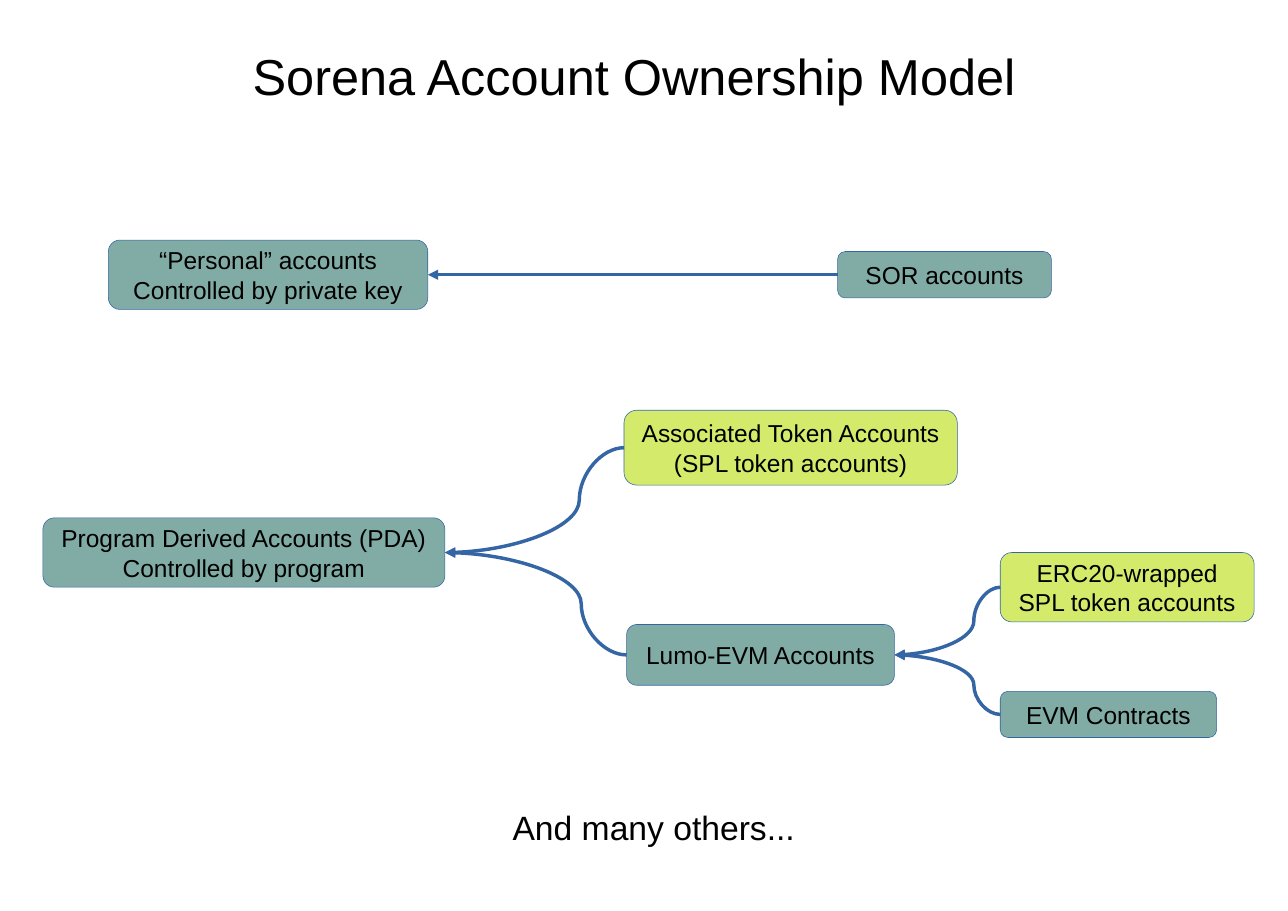
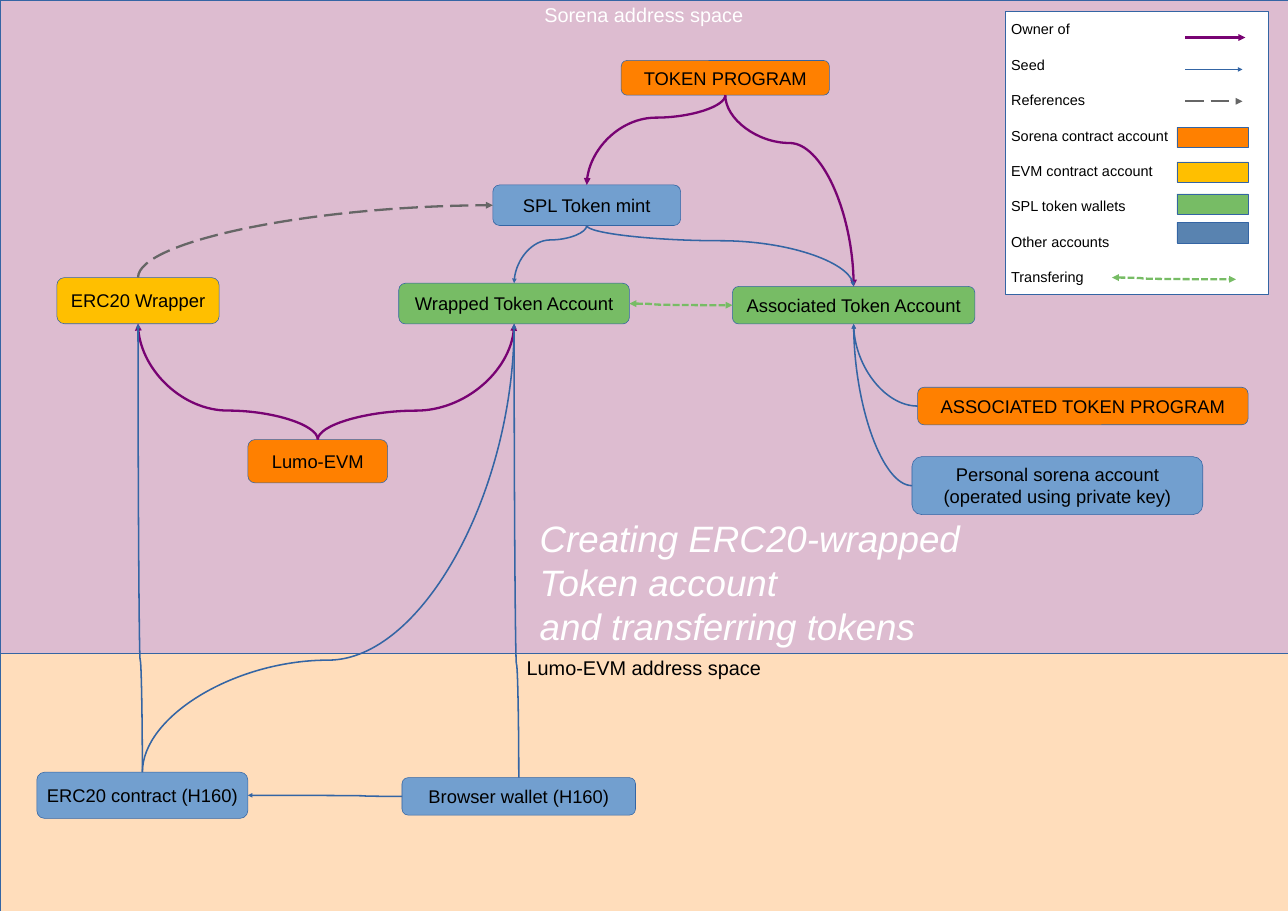
from lxml.etree import SubElement as Sub
from pptx import Presentation
from pptx.dml.color import RGBColor as RGB
from pptx.enum.dml import MSO_LINE as Dash
from pptx.enum.shapes import MSO_CONNECTOR as Conn, MSO_SHAPE as Form
from pptx.enum.text import MSO_ANCHOR as Anchor, PP_ALIGN as Align
from pptx.oxml.ns import qn
from pptx.util import Cm, Pt

FONT = "Arial"
BLACK, WHITE = RGB(0, 0, 0), RGB(255, 255, 255)
EDGE = RGB(0x34, 0x65, 0xA4)
TEAL, LIME = RGB(0x81, 0xAC, 0xA6), RGB(0xD4, 0xEA, 0x6B)
BLUE, STEEL = RGB(0x72, 0x9F, 0xCF), RGB(0x59, 0x83, 0xB0)
ORANGE, GOLD = RGB(0xFF, 0x80, 0x00), RGB(0xFF, 0xBF, 0x00)
GREEN, GRAY = RGB(0x77, 0xBC, 0x65), RGB(0x66, 0x66, 0x66)
PURPLE = RGB(0x78, 0x03, 0x73)
PLUM, PEACH = RGB(0xA1, 0x46, 0x7E), RGB(0xFF, 0x86, 0x0D)

WIDE, TALL, SPLIT = 59.4, 42.01, 30.12
TOP, LEFT, BASE, RIGHT = range(4)

KINDS = {
    "tree": dict(color=EDGE, width=4.5),
    "owner": dict(color=PURPLE, width=3),
    "seed": dict(color=EDGE, width=0),
    "ref": dict(color=GRAY, width=3, dash=Dash.LONG_DASH),
    "swap": dict(color=GREEN, width=3, dash=Dash.SQUARE_DOT, both=True),
}

MODEL = {
    "ata": ("Associated Token Accounts\n(SPL token accounts)", LIME, (28.78, 18.92, 15.37, 3.45)),
    "pda": ("Program Derived Accounts (PDA)\nControlled by program", TEAL, (1.98, 23.88, 18.54, 3.2)),
    "own": ("“Personal” accounts\nControlled by private key", TEAL, (5, 11.07, 14.73, 3.2)),
    "coin": ("SOR accounts", TEAL, (38.63, 11.6, 9.86, 2.14)),
    "lumo": ("Lumo-EVM Accounts", TEAL, (28.9, 28.8, 12.35, 2.8)),
    "evm": ("EVM Contracts", TEAL, (46.13, 31.88, 9.98, 2.13)),
    "erc": ("ERC20-wrapped\nSPL token accounts", LIME, (46.13, 25.48, 11.71, 3.2)),
}
BRANCHES = [("ata", "pda"), ("lumo", "pda"), ("evm", "lumo"), ("erc", "lumo")]

SPACES = [
    ("Sorena address space", PLUM, 36, WHITE, (0, 0, WIDE, SPLIT)),
    ("Lumo-EVM address space", PEACH, 28, BLACK, (0, SPLIT, WIDE, TALL - SPLIT)),
]
TOKENS = {
    "wallet": ("Browser wallet (H160)", BLUE, (18.54, 35.86, 10.77, 1.73)),
    "contract": ("ERC20 contract (H160)", BLUE, (1.7, 35.61, 9.73, 2.13)),
    "lumo": ("Lumo-EVM", ORANGE, (11.43, 20.27, 6.45, 2)),
    "wrapper": ("ERC20 Wrapper", GOLD, (2.62, 12.8, 7.49, 2.13)),
    "wrapped": ("Wrapped Token Account", GREEN, (18.39, 13.06, 10.64, 1.88)),
    "mint": ("SPL Token mint", BLUE, (22.73, 8.53, 8.66, 1.87)),
    "token": ("TOKEN PROGRAM", ORANGE, (28.65, 2.79, 9.6, 1.6)),
    "assoc": ("Associated Token Account", GREEN, (33.78, 13.21, 11.18, 1.73)),
    "program": ("ASSOCIATED TOKEN PROGRAM", ORANGE, (42.32, 17.86, 15.24, 1.73)),
    "person": ("Personal sorena account\n(operated using private key)", BLUE, (42.06, 21.06, 13.41, 2.67)),
}
FLOWS = [
    ("owner", "lumo", TOP, "wrapper", BASE),
    ("owner", "lumo", TOP, "wrapped", BASE),
    ("owner", "token", BASE, "mint", TOP),
    ("owner", "token", BASE, "assoc", TOP),
    ("seed", "contract", TOP, "wrapper", BASE),
    ("seed", "contract", TOP, "wrapped", BASE),
    ("seed", "wallet", TOP, "wrapped", BASE),
    ("seed", "wallet", LEFT, "contract", RIGHT),
    ("seed", "mint", BASE, "wrapped", TOP),
    ("seed", "mint", BASE, "assoc", TOP),
    ("seed", "program", LEFT, "assoc", BASE),
    ("seed", "person", LEFT, "assoc", BASE),
    ("ref", "wrapper", TOP, "mint", LEFT),
    ("swap", "wrapped", RIGHT, "assoc", LEFT),
]
LEGEND = ["Owner of", "Seed", "References", "Sorena contract account", "EVM contract account",
          "SPL token wallets", "Other accounts", "Transfering"]
SAMPLES = [("owner", 57.43), ("seed", 57.3), ("ref", 57.3)]
SWATCHES = [(ORANGE, 5.87), (GOLD, 7.47), (GREEN, 8.94), (STEEL, 10.26)]


def write(shape, text, size=24, color=BLACK, align=Align.CENTER, anchor=Anchor.MIDDLE,
          italic=False, wrap=False, gap=0):
    """Fill a shape with formatted lines of text."""
    frame = shape.text_frame
    frame.word_wrap, frame.vertical_anchor = wrap, anchor
    frame.text = text
    for i, para in enumerate(frame.paragraphs):
        para.alignment = align
        para.space_before = Pt(gap if i else 0)
        font = para.font
        font.name, font.size, font.italic = FONT, Pt(size), italic
        font.color.rgb = color


def label(slide, text, area, **style):
    """Add a left-aligned text box."""
    box = slide.shapes.add_textbox(*map(Cm, area))
    write(box, text, align=Align.LEFT, anchor=Anchor.TOP, wrap=True, **style)


def block(slide, area, fill, form=Form.RECTANGLE, alpha=None):
    """Add a filled shape with a hairline edge."""
    shape = slide.shapes.add_shape(form, *map(Cm, area))
    shape.shadow.inherit = False
    shape.fill.solid()
    shape.fill.fore_color.rgb = fill
    shape.line.color.rgb, shape.line.width = EDGE, Pt(0)
    if alpha:
        tint = shape.fill._xPr.find(".//" + qn("a:srgbClr"))
        Sub(tint, qn("a:alpha"), val=str(alpha * 1000))
    return shape


def nodes(slide, items, size):
    """Add the rounded boxes and return them by key."""
    made = {}
    for key, (text, fill, area) in items.items():
        made[key] = block(slide, area, fill, Form.ROUNDED_RECTANGLE)
        write(made[key], text, size=size)
    return made


def side(box, n):
    """Return the middle of one side of a box."""
    x, y = box.left + box.width // 2, box.top + box.height // 2
    return {TOP: (x, box.top), LEFT: (box.left, y),
            BASE: (x, box.top + box.height), RIGHT: (box.left + box.width, y)}[n]


def paint(line, color, width, dash=None, both=False):
    """Style a connector and give it arrowheads."""
    line.line.color.rgb, line.line.width = color, Pt(width)
    if dash:
        line.line.dash_style = dash
    props = line._element.spPr
    stroke = props.find(qn("a:ln"))
    if both:
        Sub(stroke, qn("a:headEnd"), type="triangle")
    Sub(stroke, qn("a:tailEnd"), type="triangle")
    Sub(props, qn("a:effectLst"))


def straight(slide, start, end, kind):
    """Add a straight arrow."""
    line = slide.shapes.add_connector(Conn.STRAIGHT, *start, *end)
    paint(line, **KINDS[kind])
    return line


def curve(slide, start, end, kind, upright=False, bend=False):
    """Add a curved arrow that bends once or turns at a quarter of its way."""
    (ax, ay), (bx, by) = start, end
    dx, dy = bx - ax, by - ay
    if upright:
        turn = 270 if dx * dy > 0 else 90
    else:
        turn = 180 if dx < 0 else 0
    u, v = {0: (dx, dy), 90: (dy, -dx), 180: (-dx, -dy), 270: (-dy, dx)}[turn]
    x, y = (ax + bx - u) // 2, (ay + by - v) // 2
    line = slide.shapes.add_connector(Conn.CURVE, x, y, x + u, y + v)
    props = line._element.spPr
    props.find(qn("a:xfrm")).set("rot", str(turn * 60000))
    geom = props.find(qn("a:prstGeom"))
    if bend:
        geom.set("prst", "curvedConnector2")
    else:
        Sub(geom.find(qn("a:avLst")), qn("a:gd"), name="adj1", fmla="val 25000")
    paint(line, **KINDS[kind])


def model(slide):
    """Draw the ownership tree."""
    label(slide, "Sorena Account Ownership Model", (11.4, 1.93, 36.68, 3), size=66)
    made = nodes(slide, MODEL, 32)
    coin, own = made["coin"], made["own"]
    line = straight(slide, side(coin, LEFT), side(own, RIGHT), "tree")
    line.begin_connect(coin, LEFT)
    line.end_connect(own, RIGHT)
    for a, b in BRANCHES:
        curve(slide, side(made[a], LEFT), side(made[b], RIGHT), "tree")
    label(slide, "And many others...", (23.39, 37.06, 18.54, 2.54), size=44)


def legend(slide):
    """Draw the key to arrows and colours."""
    panel = block(slide, (46.38, 0.53, 12.09, 13.06), WHITE)
    write(panel, "\n".join(LEGEND), size=18.9, align=Align.LEFT, wrap=True, gap=23.6)
    for i, (kind, x) in enumerate(SAMPLES):
        y = Cm(1.73 + 1.47 * i)
        straight(slide, (Cm(54.66), y), (Cm(x), y), kind)
    for fill, y in SWATCHES:
        block(slide, (54.28, y, 3.28, 0.94), fill)
    curve(slide, (Cm(51.28), Cm(12.8)), (Cm(57), Cm(12.88)), "swap")


def tokens(slide):
    """Draw the two address spaces and their accounts."""
    for text, fill, alpha, color, area in SPACES:
        space = block(slide, area, fill, alpha=alpha)
        write(space, text, size=26, color=color, anchor=Anchor.TOP)
    made = nodes(slide, TOKENS, 24)
    legend(slide)
    for kind, a, m, b, n in FLOWS:
        curve(slide, side(made[a], m), side(made[b], n), kind,
              upright=m in (TOP, BASE), bend=m % 2 != n % 2)
    label(slide, "Creating ERC20-wrapped\nToken account\nand transferring tokens",
          (24.64, 23.65, 20.57, 6.22), size=48, color=WHITE, italic=True)


def main():
    """Build and save the deck."""
    deck = Presentation()
    deck.slide_width, deck.slide_height = Cm(WIDE), Cm(TALL)
    for draw in (model, tokens):
        draw(deck.slides.add_slide(deck.slide_layouts[6]))
    deck.save("out.pptx")


if __name__ == "__main__":
    main()
